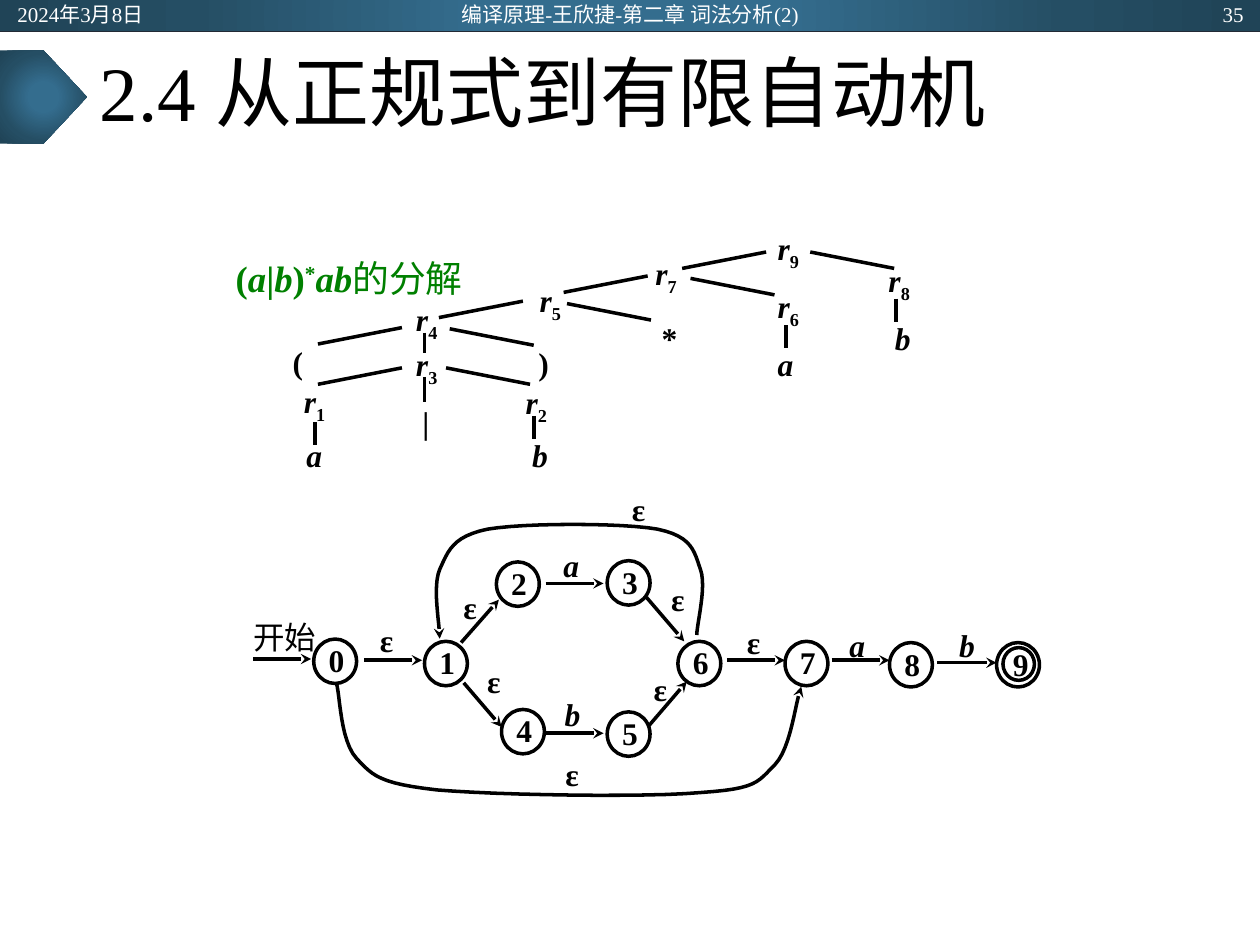
from lxml import etree
from pptx import Presentation, oxml
from pptx.dml.color import RGBColor
from pptx.enum import shapes, text
from pptx.oxml import ns
from pptx.util import Pt

rgb = RGBColor.from_string
LEFT, CENTER = text.PP_ALIGN.LEFT, text.PP_ALIGN.CENTER
RIGHT, JUSTIFY = text.PP_ALIGN.RIGHT, text.PP_ALIGN.JUSTIFY
MIDDLE, TOP = text.MSO_ANCHOR.MIDDLE, text.MSO_ANCHOR.TOP
BOLD, ITALIC, SUB, SUPER = "b", "bi", "-25000", "30000"


def write(shape, runs, size=18, color="000000", align=CENTER, anchor=MIDDLE, insets=(3, 1.5, 3, 1.5)):
    frame = shape.text_frame
    frame.word_wrap = True
    frame.auto_size = text.MSO_AUTO_SIZE.NONE
    frame.vertical_anchor = anchor
    frame.margin_left, frame.margin_top, frame.margin_right, frame.margin_bottom = map(Pt, insets)
    para = frame.paragraphs[0]
    para.alignment = align
    para.font.name = "Times New Roman"
    para.font.size = Pt(size)
    para.font.color.rgb = rgb(color)
    for words, style in runs:
        span = para.add_run()
        span.text = words
        if style:
            span.font.bold = True
        if style == ITALIC:
            span.font.italic = True
        if style in (SUB, SUPER):
            span.font._element.set("baseline", style)


def stroke(shape, arrow=False, color="000000", width=2):
    shape.line.color.rgb = rgb(color)
    shape.line.width = Pt(width)
    properties = shape.element.spPr
    if arrow:
        etree.SubElement(properties.find(ns.qn("a:ln")), ns.qn("a:tailEnd"), type="stealth")
    if properties.find(ns.qn("a:effectLst")) is None:
        etree.SubElement(properties, ns.qn("a:effectLst"))


deck = Presentation()
deck.slide_width, deck.slide_height = Pt(720), Pt(540)
page = deck.slides.add_slide(deck.slide_layouts[5])
items = page.shapes
straight = shapes.MSO_CONNECTOR.STRAIGHT

stops = "".join(
    f'<a:gs pos="{position}000"><a:srgbClr val="{color}"/></a:gs>'
    for position, color in [(0, "346D8E"), (23, "346D8E"), (69, "254E64"), (97, "204457")]
)
gradient = (
    f'<a:gradFill {ns.nsdecls("a")} rotWithShape="1"><a:gsLst>{stops}</a:gsLst><a:path path="circle">'
    '<a:fillToRect l="50000" t="50000" r="50000" b="50000"/></a:path></a:gradFill>'
)
for preset, top, width, height in [
    (shapes.MSO_SHAPE.RECTANGLE, 0, 720, 18),
    (shapes.MSO_SHAPE.PENTAGON, 28.8, 49.7, 53.3),
]:
    banner = items.add_shape(preset, 0, Pt(top), Pt(width), Pt(height))
    banner.shadow.inherit = False
    banner.line.fill.background()
    banner.element.spPr.insert(2, oxml.parse_xml(gradient))
rule = items.add_connector(straight, 0, Pt(18), Pt(720), Pt(18))
stroke(rule, color="222A35", width=0.5)

title = items.title
title.left, title.top, title.width, title.height = Pt(49.7), Pt(18), Pt(620.6), Pt(74.2)
write(title, [("2.4 从正规式到有限自动机", "")], 44, align=LEFT, insets=(7.2, 3.6, 7.2, 3.6))
title.text_frame.paragraphs[0].line_spacing = 0.9

for words, left, width, align in [
    ("2024年3月8日", 2.9, 162, LEFT),
    ("编译原理-王欣捷-第二章 词法分析(2)", 238.3, 243.4, CENTER),
    ("35", 555.8, 162, RIGHT),
]:
    box = items.add_textbox(Pt(left), Pt(0.7), Pt(width), Pt(14.4))
    write(box, [(words, "")], 12, "FFFFFF", align, insets=(7.2, 3.6, 7.2, 3.6))

node_width, node_height = 24.5, 25.4
states = [
    (179.3, 365.2), (242.6, 366.5), (283.7, 321.1), (347, 320.4), (286.6, 405.4),
    (347, 406.8), (387.4, 366.5), (448.6, 366.5), (508.3, 367.2),
]
circles = [(str(number), x, y, node_width, node_height) for number, (x, y) in enumerate(states)]
circles += [("", 569.5, 367.2, node_width, node_height), ("9", 573.1, 370.1, 18, 18.7)]
for number, x, y, width, height in circles:
    circle = items.add_shape(shapes.MSO_SHAPE.OVAL, Pt(x), Pt(y), Pt(width), Pt(height))
    circle.shadow.inherit = False
    circle.fill.background()
    stroke(circle)
    if number:
        insets = (3, 0, 1, 0) if number == "9" else (3, 1.5, 1.5, 3)
        write(circle, [(number, BOLD)], insets=insets)

for x1, y1, x2, y2 in [
    (144.7, 376.6, 177.8, 376.6), (208.1, 377.3, 241.2, 377.3), (415.4, 377.3, 448.6, 377.3),
    (475.2, 377.3, 508.3, 377.3), (535.7, 378.7, 569.5, 378.7), (311.8, 333.4, 344.9, 333.4),
    (311.8, 419, 344.9, 419), (263.5, 367.2, 285.1, 342.7), (369.4, 341.3, 391, 366.5),
    (370.8, 414.7, 392.4, 389.5), (265, 390.2, 286.6, 415.4),
]:
    stroke(items.add_connector(straight, Pt(x1), Pt(y1), Pt(x2), Pt(y2)), arrow=True)

skip_curve = [
    (192.2, 390.2), (194.4, 397.4), (194.4, 423.4), (203.8, 433.4), (213.1, 443.5), (217.4, 447.8),
    (249.8, 451.4), (283, 454.3), (368.6, 455.8), (400.3, 452.9), (432.7, 450.7), (432.7, 447.1),
    (442.8, 437), (452.2, 427), (454.3, 401.8), (457.9, 392.4),
]
repeat_curve = [
    (398.2, 362.9), (398.2, 356.4), (403.9, 335.5), (400.3, 325.4), (396.7, 315.4), (396, 306.7),
    (375.8, 302.4), (355.7, 298.8), (299.5, 298.8), (278.6, 302.4), (258.5, 306.7), (256.3, 314.6),
    (251.3, 325.4), (247, 335.5), (251.3, 356.4), (251.3, 365),
]
steps = 12
for curve in (skip_curve, repeat_curve):
    points = []
    for first in range(0, len(curve) - 1, 3):
        corners = curve[first:first + 4]
        for step in range(1, steps + 1):
            t = step / steps
            weights = ((1 - t) ** 3, 3 * t * (1 - t) ** 2, 3 * t * t * (1 - t), t ** 3)
            points.append(tuple(
                Pt(sum(weight * corner[axis] for weight, corner in zip(weights, corners))) for axis in (0, 1)
            ))
    builder = items.build_freeform(Pt(curve[0][0]), Pt(curve[0][1]))
    builder.add_line_segments(points, close=False)
    loop = builder.convert_to_shape()
    loop.shadow.inherit = False
    loop.fill.background()
    stroke(loop, arrow=True)

start = items.add_textbox(Pt(131.8), Pt(352.1), Pt(61.9), Pt(23.8))
write(start, [("开始", "")])
for symbol, x, y in [
    ("ε", 210.2, 355), ("ε", 257.8, 336.2), ("ε", 271.4, 378.7), ("ε", 376.6, 331.9),
    ("ε", 366.5, 383), ("ε", 316.1, 432), ("ε", 419.8, 356.4), ("ε", 354.2, 280.1),
    ("a", 315.7, 312.5), ("b", 316.4, 397.4), ("a", 479.1, 357.8), ("b", 541.8, 357.8),
]:
    box = items.add_textbox(Pt(x), Pt(y), Pt(21.6), Pt(20.9))
    write(box, [(symbol, BOLD if symbol == "ε" else ITALIC)])

for symbol, x, y in [
    ("r9", 441.4, 130.3), ("r7", 371.5, 144.7), ("r8", 504.7, 148.3), ("r5", 305.3, 159.8),
    ("r6", 441.4, 163.4), ("r4", 234.7, 170.6), ("r3", 234.7, 196.6), ("r2", 297.4, 218.2),
    ("r1", 170.6, 217.4), ("*", 375.1, 181.4), (")", 304.6, 195.8), ("(", 164.2, 195.1),
    ("|", 238.3, 229.7), ("a", 172.1, 248.4), ("b", 301, 248.4), ("a", 441.4, 196.6),
    ("b", 508.3, 181.4),
]:
    runs = [(symbol[0], ITALIC if symbol[0].isalpha() else BOLD)]
    if symbol[1:]:
        runs.append((symbol[1:], SUB))
    box = items.add_textbox(Pt(x), Pt(y), Pt(27.4), Pt(16.6))
    write(box, runs, align=JUSTIFY, anchor=TOP, insets=(3, 0.75, 3, 0.75))

right_starts = [(463, 144), (394.6, 159.1), (324, 173.5), (257, 187.9), (254.9, 210.2)]
left_starts = [(437.8, 144), (370.1, 157.7), (298.8, 172.1), (229.7, 187.2), (229.7, 210.2)]
stems = [
    (242.6, 190.1, 11.5), (242.6, 215.3, 14.4), (511.9, 170.6, 13.7),
    (449.3, 185.8, 13), (305.3, 237.6, 13), (180, 241.2, 13),
]
branches = [(x, y, 48, 9.4) for x, y in right_starts]
branches += [(x, y, -48, 9.4) for x, y in left_starts]
branches += [(x, y, 0, height) for x, y, height in stems]
for x, y, across, down in branches:
    stroke(items.add_connector(straight, Pt(x), Pt(y), Pt(x + across), Pt(y + down)))

caption = items.add_textbox(Pt(121.7), Pt(144.7), Pt(156.2), Pt(29.5))
write(
    caption,
    [("(", BOLD), ("a", ITALIC), ("|", BOLD), ("b", ITALIC), (")", BOLD), ("*", SUPER), ("ab", ITALIC), ("的分解", "")],
    21, "008000", anchor=TOP, insets=(4.5, 1.5, 5, 3),
)

deck.save("out.pptx")
